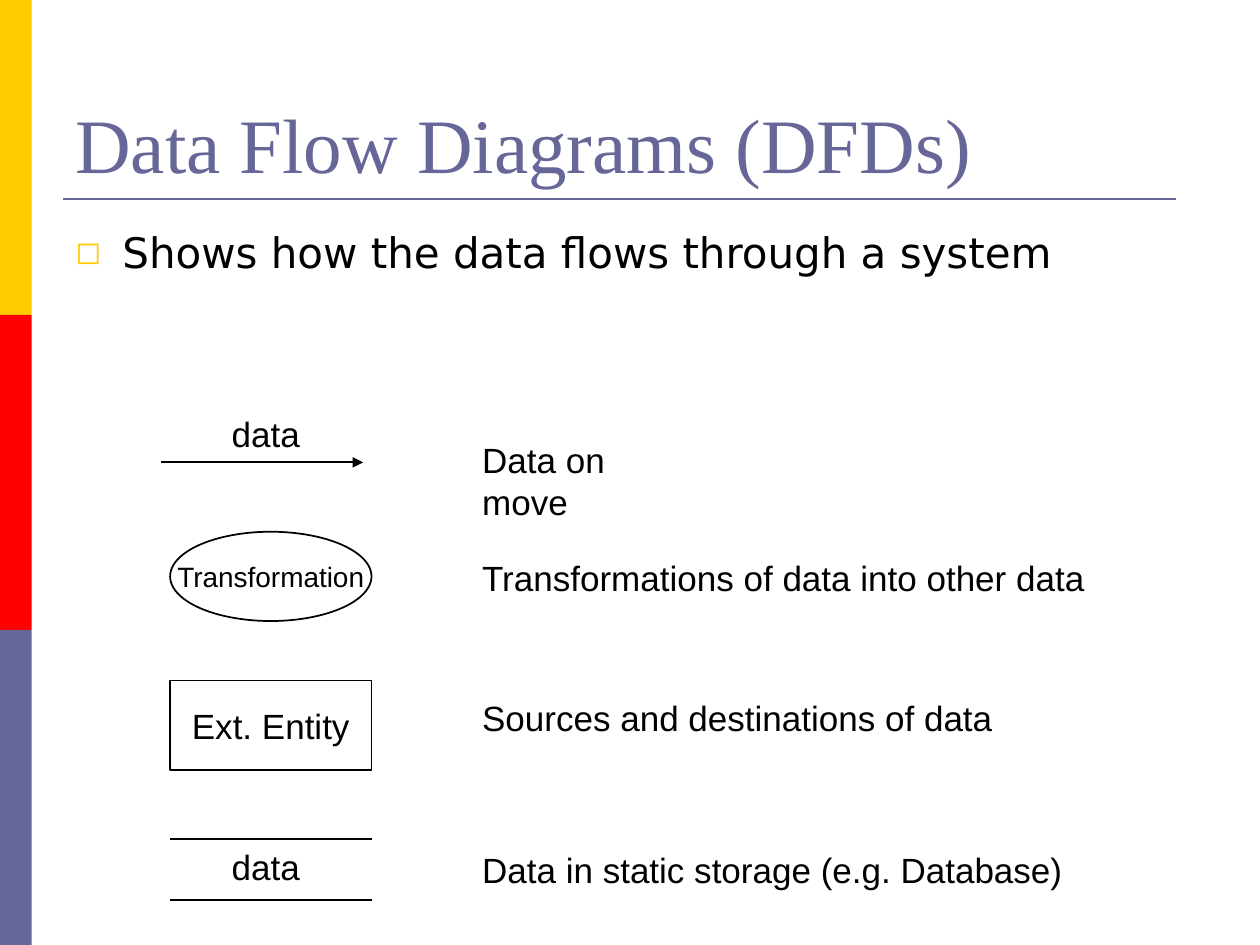
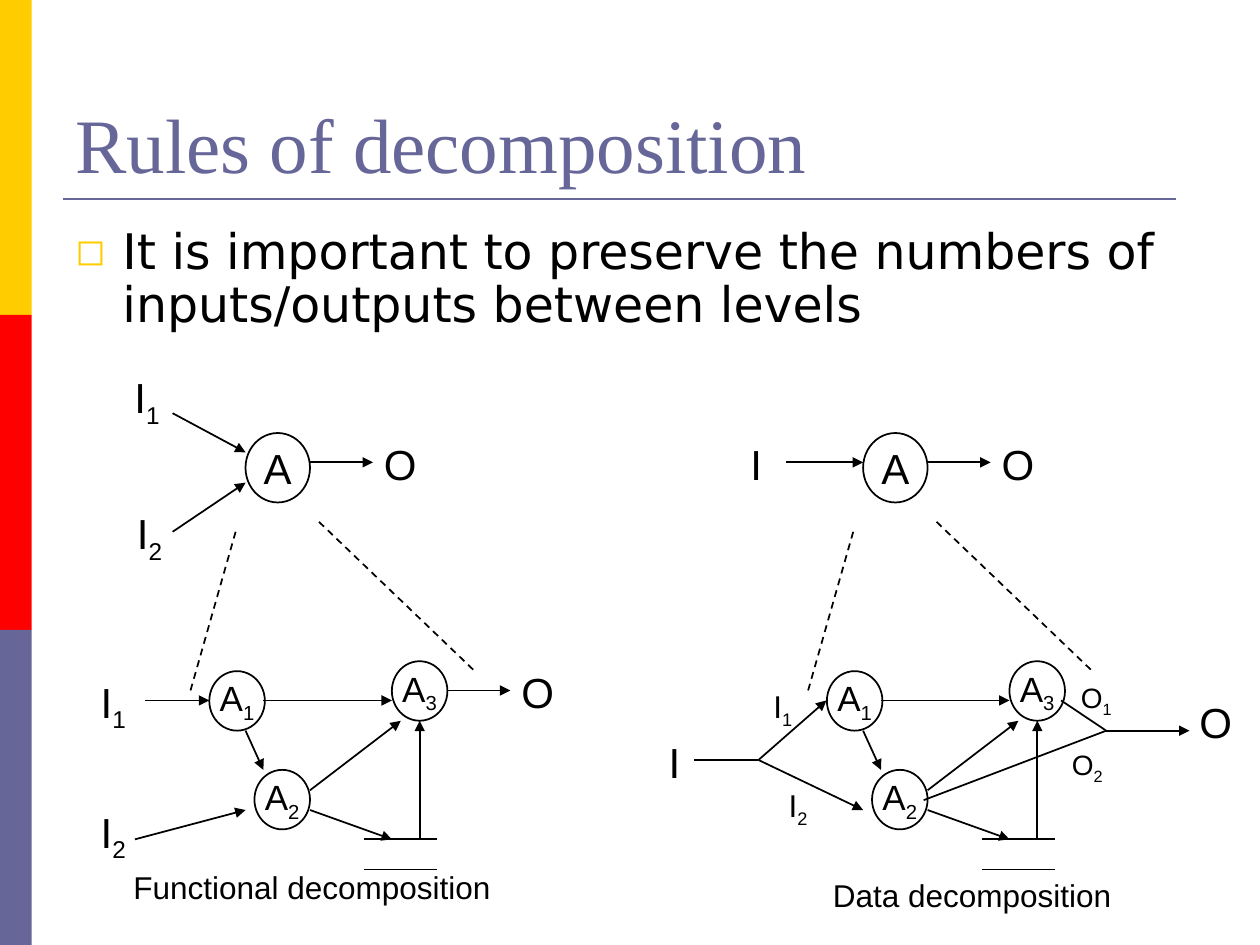
from lxml.etree import SubElement
from pptx import Presentation
from pptx.dml.color import RGBColor
from pptx.enum.dml import MSO_LINE
from pptx.enum.shapes import MSO_CONNECTOR, MSO_SHAPE
from pptx.enum.text import MSO_ANCHOR, MSO_AUTO_SIZE, PP_ALIGN
from pptx.oxml.ns import qn
from pptx.util import Cm, Pt

COLORS = {"yellow": "FFCC00", "red": "FF0000", "slate": "666699", "ink": "000000"}
BANDS = ["yellow", "red", "slate"]
BAND_WIDTH, BAND_HEIGHT = 0.64, 6.35
TITLE_BOX = (1.27, 0.76, 22.86, 3.18)
TITLE_RULE = (1.27, 4.01, 23.7, 4.01)

DFD = {
    "title": "Data Flow Diagrams (DFDs)",
    "bullet": "Shows how the data flows through a system",
    "size": 24,
    "spacing": {"space_before": Pt(6)},
}
RULES = {
    "title": "Rules of decomposition",
    "bullet": "It is important to preserve the numbers of inputs/outputs between levels",
    "size": 28,
    "spacing": {"space_before": Pt(7), "line_spacing": 0.9},
}

SYMBOL_LEFT, SYMBOL_WIDTH, SYMBOL_HEIGHT = 3.43, 4.06, 1.8
SYMBOLS = [
    (MSO_SHAPE.OVAL, 10.72, "Transformation", 16),
    (MSO_SHAPE.RECTANGLE, 13.72, "Ext. Entity", 20),
]
STORE_LINES = [16.92, 18.14]
FLOW_ARROW = (3.25, 9.32, 7.32, 9.32)
DFD_LABELS = [
    ("data", 4.42, 8.18, 1.88, 20),
    ("data", 4.42, 16.92, 1.88, 20),
    ("Data on move", 9.47, 8.71, 4.9, 20),
    ("Transformations of data into other data", 9.47, 11.1, 12.67, 20),
    ("Sources and destinations of data", 9.47, 13.92, 10.8, 20),
    ("Data in static storage (e.g. Database)", 9.47, 16.99, 12.22, 20),
]

PANEL_OFFSETS = [0, 12.45]
PANEL_NODES = [
    ("A", 4.95, 8.73, 1.3, 1.4, 24),
    ("A_1", 4.22, 13.53, 1.12, 1.2, 20),
    ("A_2", 5.13, 15.52, 1.12, 1.2, 20),
    ("A_3", 7.9, 13.33, 1.12, 1.2, 20),
]
PANEL_ARROWS = [
    (6.25, 9.32, 7.52, 9.32),
    (6.25, 16.33, 7.9, 16.92),
    (8.46, 16.92, 8.46, 14.53),
    (5.31, 14.12, 7.9, 14.12),
    (6.25, 15.93, 8.08, 14.53),
    (4.95, 14.73, 5.31, 15.52),
]
PANEL_STORE = [(7.34, 16.92, 8.81, 16.92), (7.34, 17.53, 8.81, 17.53)]
PANEL_ZOOM = [(4.75, 10.72, 3.84, 13.92), (6.43, 10.52, 9.55, 13.51)]
PANEL_OUTPUT = ("O", 7.49, 8.71, 1.17, 24)

OUTER_ARROWS = [
    (3.48, 8.33, 4.95, 9.12),
    (3.48, 10.72, 4.95, 9.73),
    (2.92, 14.12, 4.22, 14.12),
    (2.72, 16.92, 4.95, 16.33),
    (9.02, 13.92, 10.29, 13.92),
    (15.85, 9.32, 17.4, 9.32),
    (15.29, 15.32, 16.66, 14.12),
    (15.29, 15.32, 17.4, 16.33),
    (22.3, 14.73, 23.98, 14.73),
]
OUTER_LINES = [
    (15.29, 15.32, 14, 15.32),
    (18.62, 16.13, 22.3, 14.73),
    (21.39, 14.12, 22.3, 14.73),
]
OUTER_LABELS = [
    ("I_1", 2.46, 7.37, 1.02, 24),
    ("I_2", 2.51, 10.11, 1.02, 24),
    ("I_1", 1.78, 13.51, 1.02, 24),
    ("I_2", 1.78, 16.13, 1.02, 24),
    ("O", 10.26, 13.31, 1.17, 24),
    ("I", 14.88, 8.71, 0.74, 24),
    ("I", 13.23, 14.73, 0.74, 24),
    ("I_1", 15.34, 13.72, 0.89, 18),
    ("I_2", 15.65, 15.72, 0.89, 18),
    ("O", 23.93, 13.92, 1.17, 24),
    ("O_1", 21.54, 13.59, 1.12, 16),
    ("O_2", 21.36, 14.94, 1.12, 16),
    ("Functional decomposition", 2.44, 17.37, 7.7, 18),
    ("Data decomposition", 16.54, 17.53, 6.12, 18),
]


def apply(target, formats):
    for name, value in formats.items():
        setattr(target, name, value)


def color(name):
    return RGBColor.from_string(COLORS[name])


def write(shape, text, size, font="Arial", ink="ink", frame=None, layout=None):
    apply(shape.text_frame, {"word_wrap": False, **(frame or {})})
    paragraph = shape.text_frame.paragraphs[0]
    apply(paragraph, layout or {})
    for index, part in enumerate(text.split("_")):
        run = paragraph.add_run()
        run.text = part
        apply(run.font, {"size": Pt(size), "name": font})
        run.font.color.rgb = color(ink)
        if index:
            run._r.get_or_add_rPr().set("baseline", "-25000")
    return paragraph


def add_box(slide, box):
    return slide.shapes.add_textbox(*map(Cm, box))


def add_label(slide, text, left, top, width, size):
    height = 0.25 + size * 0.0423 + (0.13 if "_" in text else 0)
    shape = add_box(slide, (left, top, width, height))
    write(shape, text, size, frame={"auto_size": MSO_AUTO_SIZE.SHAPE_TO_FIT_TEXT})


def add_symbol(slide, kind, box, text, size):
    shape = slide.shapes.add_shape(kind, *map(Cm, box))
    shape.shadow.inherit = False
    shape.fill.background()
    shape.line.color.rgb = color("ink")
    shape.line.width = Pt(1)
    write(shape, text, size, frame={"vertical_anchor": MSO_ANCHOR.MIDDLE},
          layout={"alignment": PP_ALIGN.CENTER})


def add_line(slide, ends, ink="ink", width=1, arrow=False, dashed=False):
    connector = slide.shapes.add_connector(MSO_CONNECTOR.STRAIGHT, *map(Cm, ends))
    connector.line.color.rgb = color(ink)
    connector.line.width = Pt(width)
    if dashed:
        connector.line.dash_style = MSO_LINE.DASH
    properties = connector._element.spPr
    if arrow:
        SubElement(properties.find(qn("a:ln")), qn("a:tailEnd"), type="triangle")
    SubElement(properties, qn("a:effectLst"))


def add_bullet(paragraph):
    properties = paragraph._p.get_or_add_pPr()
    apply_indent = {"marL": Cm(0.95), "indent": Cm(-0.95)}
    for name, value in apply_indent.items():
        properties.set(name, str(value))
    bullet_color = SubElement(properties, qn("a:buClr"))
    SubElement(bullet_color, qn("a:srgbClr"), val=COLORS["yellow"])
    SubElement(properties, qn("a:buSzPct"), val="75000")
    SubElement(properties, qn("a:buFont"), typeface="DejaVu Sans")
    SubElement(properties, qn("a:buChar"), char="◻")


def add_base(presentation, content):
    slide = presentation.slides.add_slide(presentation.slide_layouts[6])
    for index, name in enumerate(BANDS):
        box = (0, index * BAND_HEIGHT, BAND_WIDTH, BAND_HEIGHT)
        band = slide.shapes.add_shape(MSO_SHAPE.RECTANGLE, *map(Cm, box))
        band.shadow.inherit = False
        band.fill.solid()
        band.fill.fore_color.rgb = color(name)
        band.line.fill.background()
    add_line(slide, TITLE_RULE, "slate", 1.5)
    write(add_box(slide, TITLE_BOX), content["title"], 44, "Times New Roman", "slate",
          {"word_wrap": True, "vertical_anchor": MSO_ANCHOR.BOTTOM})
    body = add_box(slide, (1.27, 4.45, 22.86, 2.8))
    add_bullet(write(body, content["bullet"], content["size"], "DejaVu Sans",
                     frame={"word_wrap": True}, layout=content["spacing"]))
    return slide


def build_dfd(presentation):
    slide = add_base(presentation, DFD)
    add_line(slide, FLOW_ARROW, arrow=True)
    for kind, top, text, size in SYMBOLS:
        add_symbol(slide, kind, (SYMBOL_LEFT, top, SYMBOL_WIDTH, SYMBOL_HEIGHT), text, size)
    for top in STORE_LINES:
        add_line(slide, (SYMBOL_LEFT, top, SYMBOL_LEFT + SYMBOL_WIDTH, top))
    for label in DFD_LABELS:
        add_label(slide, *label)


def build_rules(presentation):
    slide = add_base(presentation, RULES)
    line_groups = [
        (PANEL_ARROWS, {"arrow": True}),
        (PANEL_STORE, {}),
        (PANEL_ZOOM, {"dashed": True}),
    ]
    for offset in PANEL_OFFSETS:
        for text, left, top, width, height, size in PANEL_NODES:
            add_symbol(slide, MSO_SHAPE.OVAL, (left + offset, top, width, height), text, size)
        for lines, style in line_groups:
            for x1, y1, x2, y2 in lines:
                add_line(slide, (x1 + offset, y1, x2 + offset, y2), **style)
        text, left, *rest = PANEL_OUTPUT
        add_label(slide, text, left + offset, *rest)
    for ends in OUTER_ARROWS:
        add_line(slide, ends, arrow=True)
    for ends in OUTER_LINES:
        add_line(slide, ends)
    for label in OUTER_LABELS:
        add_label(slide, *label)


def main():
    presentation = Presentation()
    apply(presentation, {"slide_width": Cm(25.4), "slide_height": Cm(19.05)})
    build_dfd(presentation)
    build_rules(presentation)
    presentation.save("out.pptx")


if __name__ == "__main__":
    main()
